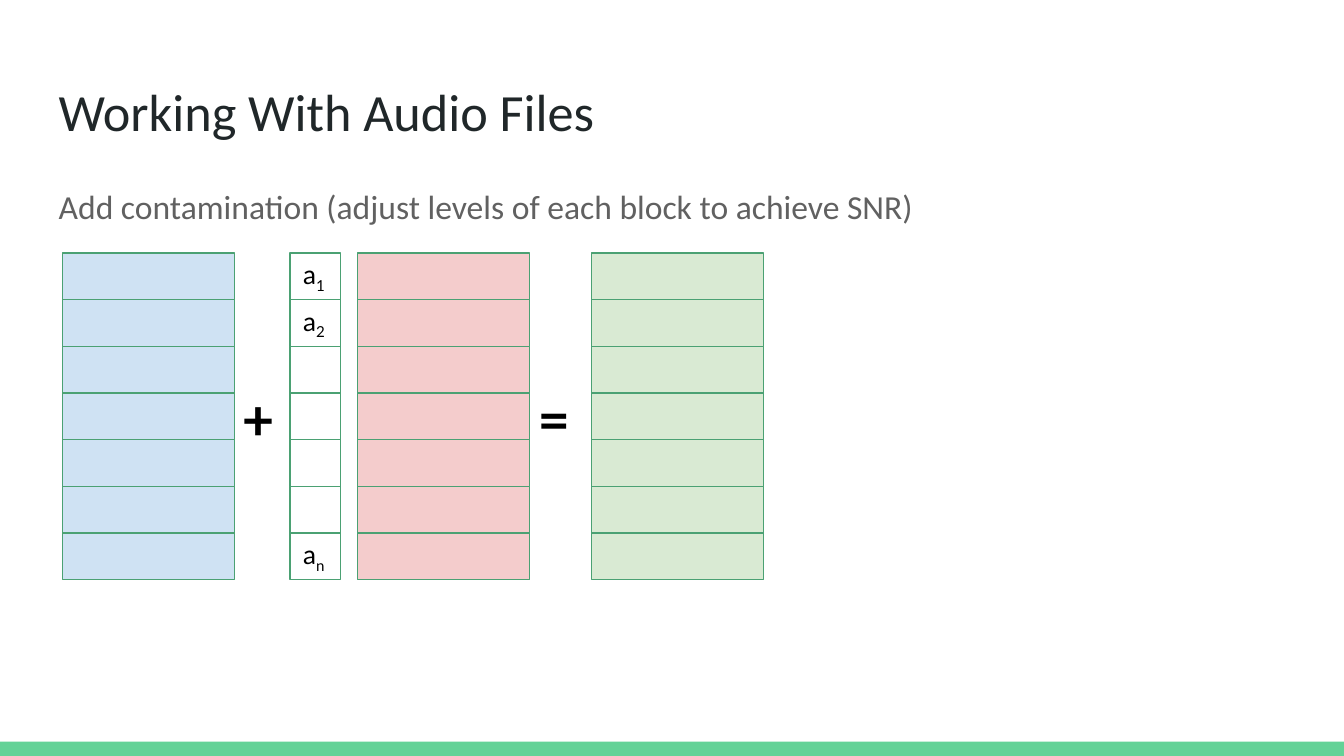
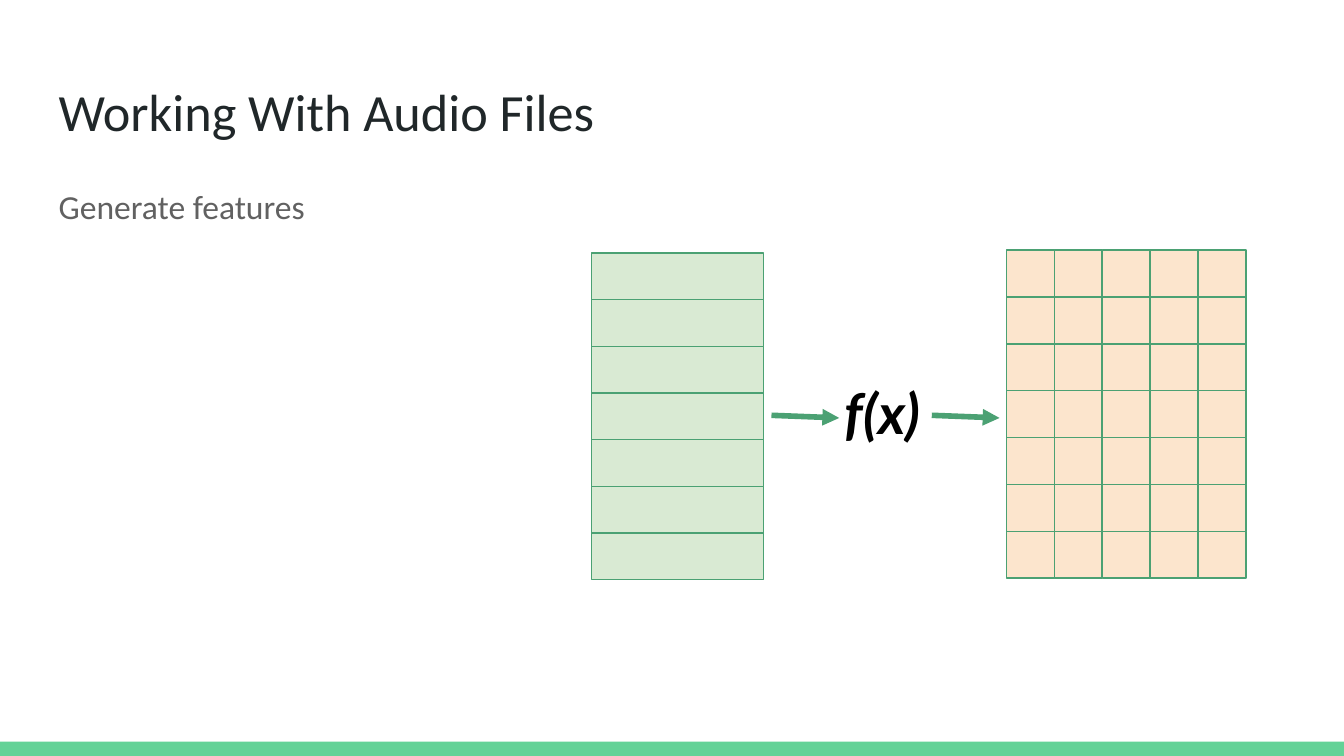
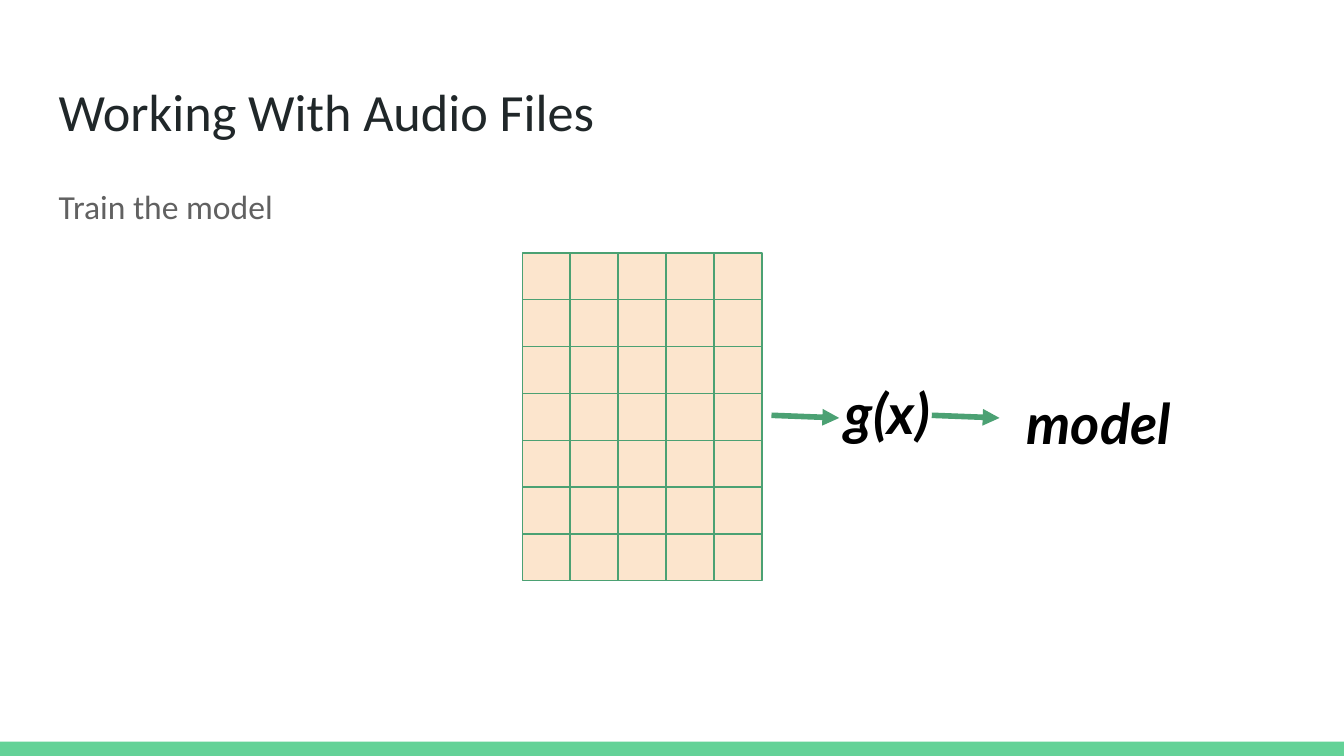
from collections import namedtuple
from dataclasses import dataclass

import pptx
import pptx.dml.color
import pptx.enum.shapes
import pptx.enum.text
import pptx.oxml
import pptx.oxml.ns
import pptx.util

Cm = pptx.util.Cm
Pt = pptx.util.Pt
Box = namedtuple("Box", "x y w h")


@dataclass(frozen=True)
class Theme:
    title_ink: str = "202729"
    body_ink: str = "616161"
    ink: str = "000000"
    edge: str = "4BA173"
    band: str = "63D297"
    clean: str = "CFE2F3"
    noise: str = "F4CCCC"
    mixed: str = "D9EAD3"
    feature: str = "FCE5CD"
    head_font: str = "Calibri"
    font: str = "Lato"
    title_size: int = 28
    body_size: int = 18
    sign_size: int = 30
    cell_size: int = 14
    thin: float = 0.75
    thick: float = 3
    inset: float = 0.25


LOOK = Theme()
PAGE = Box(0, 0, 25.4, 14.29)
BAND = Box(0, 14.02, PAGE.w, 0.27)
TITLE = Box(0.86, 1.24, 23.67, 1.6)
BODY = Box(0.86, 3.15, 23.67, 1.27)
AREA = Box(1.18, 4.78, 22.4, 6.18)
ROWS = 7
STACK_W = 3.25
GRID_W, GRID_H = 4.53, 6.2


def rgb(code):
    return pptx.dml.color.RGBColor.from_string(code)


def inner(box, x, y, w, h):
    """Turn offsets within box into a box on the slide."""
    return Box(box.x + x, box.y + y, w, h)


def place(shape, box):
    shape.left, shape.top, shape.width, shape.height = map(Cm, box)


def prepare(frame, anchor):
    frame.word_wrap = True
    frame.auto_size = pptx.enum.text.MSO_AUTO_SIZE.NONE
    frame.vertical_anchor = anchor
    frame.margin_left = frame.margin_right = Cm(LOOK.inset)
    frame.margin_top = frame.margin_bottom = Cm(LOOK.inset)
    para = frame.paragraphs[0]
    para.alignment = pptx.enum.text.PP_ALIGN.LEFT
    return para


def add_run(para, text, size, font=LOOK.font, ink=LOOK.ink, bold=False, slant=False):
    run = para.add_run()
    run.text = text
    run.font.size = Pt(size)
    run.font.name = font
    run.font.color.rgb = rgb(ink)
    run.font.bold = bold
    run.font.italic = slant
    return run


def add_rect(slide, box, fill=None, edge=None):
    rect = slide.shapes.add_shape(
        pptx.enum.shapes.MSO_SHAPE.RECTANGLE, *map(Cm, box))
    rect.shadow.inherit = False
    if fill:
        rect.fill.solid()
        rect.fill.fore_color.rgb = rgb(fill)
    else:
        rect.fill.background()
    if edge:
        rect.line.color.rgb = rgb(edge)
        rect.line.width = Pt(LOOK.thin)
    else:
        rect.line.fill.background()
    return rect


def add_grid(slide, box, fill=None, cols=1):
    """Divide box into equal cells and return them column by column."""
    w, h = box.w / cols, box.h / ROWS
    return [add_rect(slide, inner(box, col * w, row * h, w, h), fill, LOOK.edge)
            for col in range(cols) for row in range(ROWS)]


def add_stack(slide, area, x, fill):
    add_grid(slide, inner(area, x, 0, STACK_W, area.h), fill)


def add_table_of_features(slide, area, x, y):
    add_grid(slide, inner(area, x, y, GRID_W, GRID_H), LOOK.feature, cols=5)


def add_levels(slide, box):
    """Draw the column of block levels a1, a2 to an."""
    cells = add_grid(slide, box)
    for row, index in ((0, "1"), (1, "2"), (ROWS - 1, "n")):
        para = prepare(cells[row].text_frame, pptx.enum.text.MSO_ANCHOR.MIDDLE)
        add_run(para, "a", LOOK.cell_size)
        low = add_run(para, index, LOOK.cell_size)
        low.font.element.set("baseline", "-25000") if hasattr(
            low.font, "element") else low._r.get_or_add_rPr().set("baseline", "-25000")


def add_sign(slide, box, text, slant=False):
    label = slide.shapes.add_textbox(*map(Cm, box))
    para = prepare(label.text_frame, pptx.enum.text.MSO_ANCHOR.TOP)
    add_run(para, text, LOOK.sign_size, bold=True, slant=slant)


def add_arrow(slide, box):
    arrow = slide.shapes.add_connector(
        pptx.enum.shapes.MSO_CONNECTOR.STRAIGHT,
        Cm(box.x), Cm(box.y), Cm(box.x + box.w), Cm(box.y + box.h))
    arrow.line.color.rgb = rgb(LOOK.edge)
    arrow.line.width = Pt(LOOK.thick)
    props = arrow.element.spPr
    space = pptx.oxml.ns.nsdecls("a")
    props.find(pptx.oxml.ns.qn("a:ln")).append(
        pptx.oxml.parse_xml(f'<a:tailEnd {space} type="triangle"/>'))
    props.append(pptx.oxml.parse_xml(f"<a:effectLst {space}/>"))


def add_step(slide, area, name, width):
    """Draw a function name between its two arrows."""
    add_sign(slide, inner(area, 14.54, 2.13, width, 1.9), name, slant=True)
    for x in (13.4, 16.43):
        add_arrow(slide, inner(area, x, 3.07, 1.28, 0.05))


def draw_mix(slide, area):
    add_stack(slide, area, 0, LOOK.clean)
    add_sign(slide, inner(area, 3.14, 2.23, 1.14, 1.73), "+")
    add_levels(slide, inner(area, 4.3, 0, 0.96, area.h))
    add_stack(slide, area, 5.58, LOOK.noise)
    add_sign(slide, inner(area, 8.73, 2.23, 1.47, 1.73), "=")
    add_stack(slide, area, 10, LOOK.mixed)


def draw_features(slide, area):
    add_stack(slide, area, 10, LOOK.mixed)
    add_step(slide, area, "f(x)", 2.01)
    add_table_of_features(slide, area, 17.84, -0.05)


def draw_model(slide, area):
    add_table_of_features(slide, area, 8.69, 0)
    add_step(slide, area, "g(x)", 2.2)
    add_sign(slide, inner(area, 17.97, 2.31, 3.35, 1.6), "model", slant=True)


def add_heads(slide, topic):
    top = pptx.enum.text.MSO_ANCHOR.TOP
    title, body = slide.shapes.title, slide.placeholders[1]
    place(title, TITLE)
    add_run(prepare(title.text_frame, top), "Working With Audio Files",
            LOOK.title_size, LOOK.head_font, LOOK.title_ink)
    place(body, BODY)
    para = prepare(body.text_frame, top)
    para.line_spacing = 1.15
    para.space_before, para.space_after = Pt(0), Pt(16)
    add_run(para, topic, LOOK.body_size, LOOK.head_font, LOOK.body_ink)
    props = para._p.get_or_add_pPr()
    props.set("marL", "0")
    props.set("indent", "0")
    props.append(pptx.oxml.parse_xml(f'<a:buNone {pptx.oxml.ns.nsdecls("a")}/>'))


def share_band(deck, slide):
    """Move the footer band from slide to the master, behind all else."""
    band = add_rect(slide, BAND, LOOK.band)
    deck.slide_master.shapes.element.insert(2, band.element)


def main():
    deck = pptx.Presentation()
    deck.slide_width, deck.slide_height = Cm(PAGE.w), Cm(PAGE.h)
    pages = (
        ("Add contamination (adjust levels of each block to achieve SNR)", draw_mix),
        ("Generate features", draw_features),
        ("Train the model", draw_model),
    )
    for topic, draw in pages:
        slide = deck.slides.add_slide(deck.slide_layouts[1])
        add_heads(slide, topic)
        draw(slide, AREA)
    share_band(deck, deck.slides[0])
    deck.save("out.pptx")


if __name__ == "__main__":
    main()
